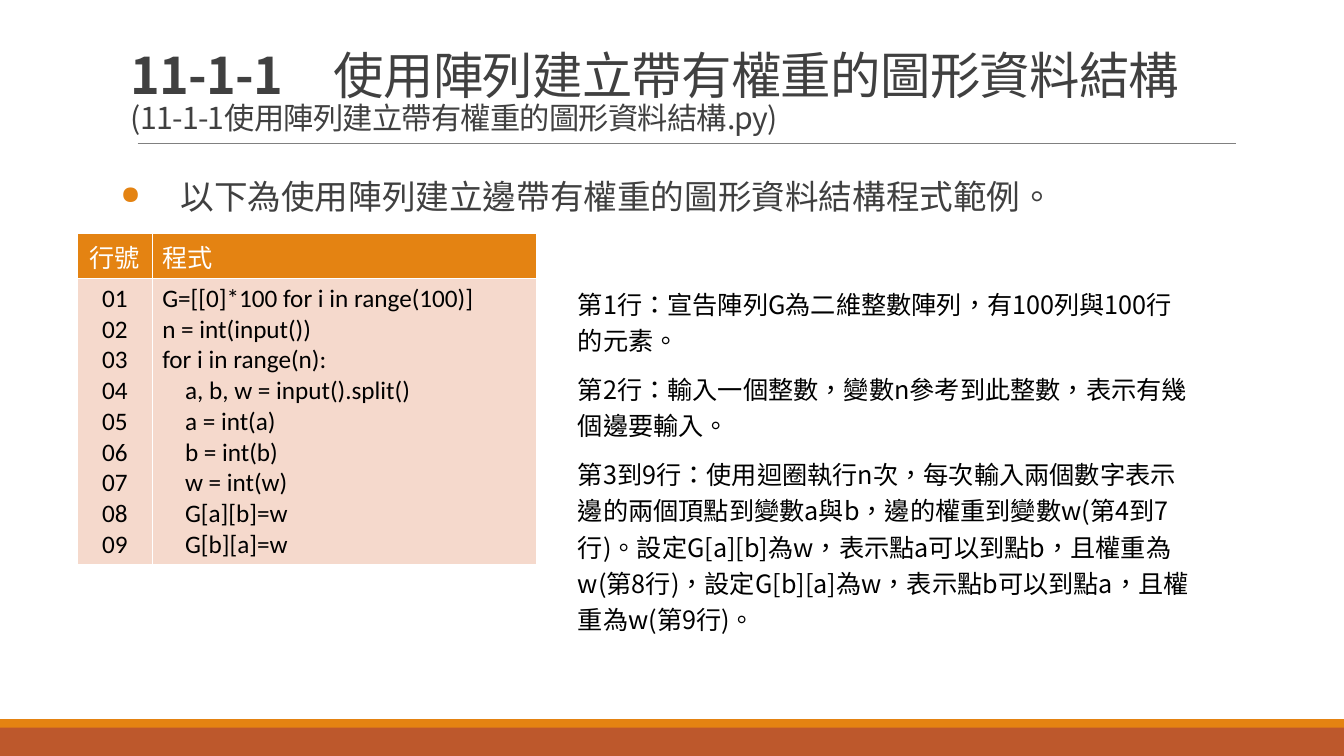
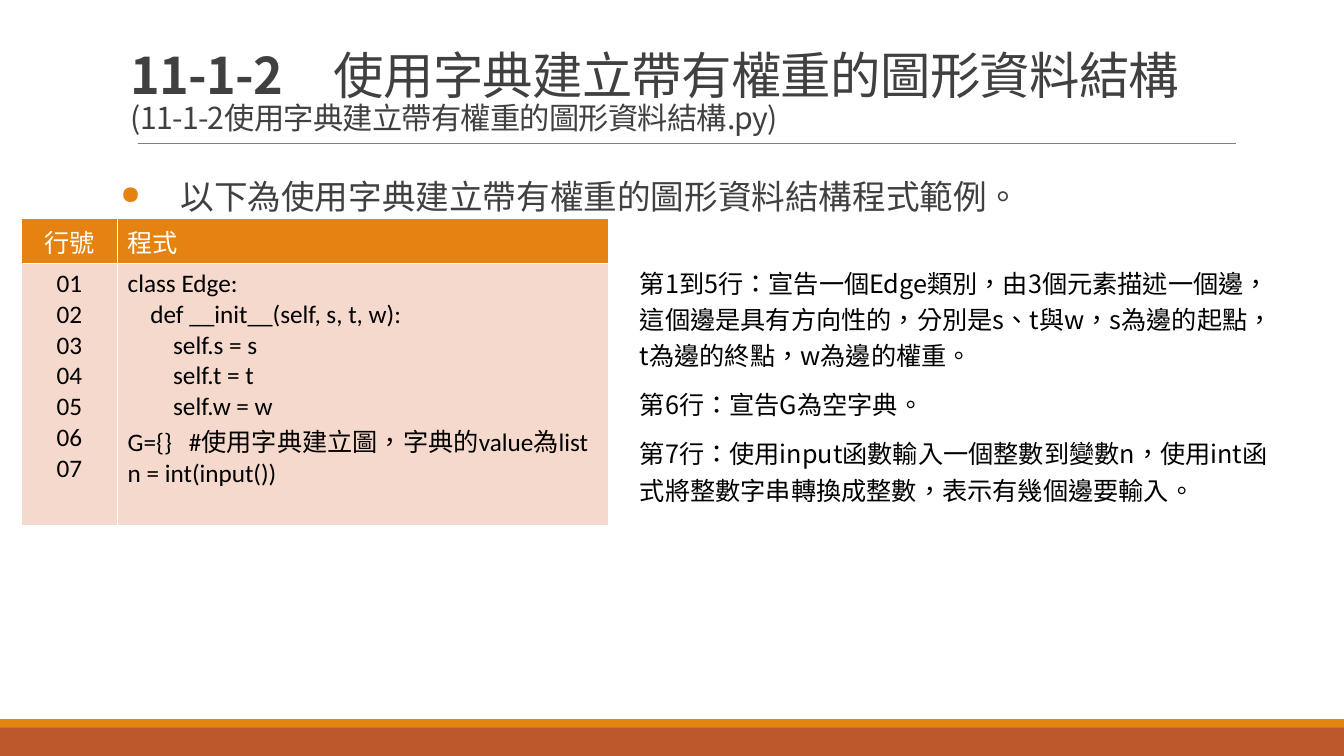
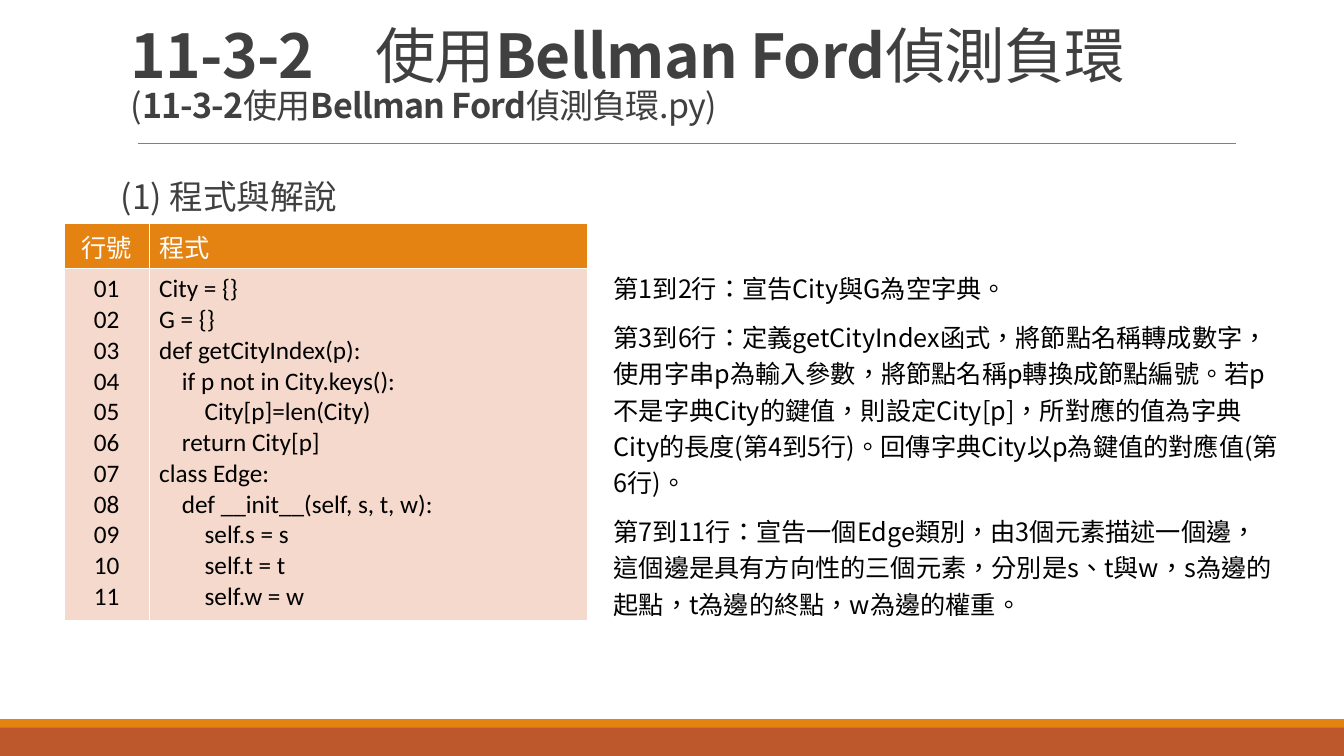
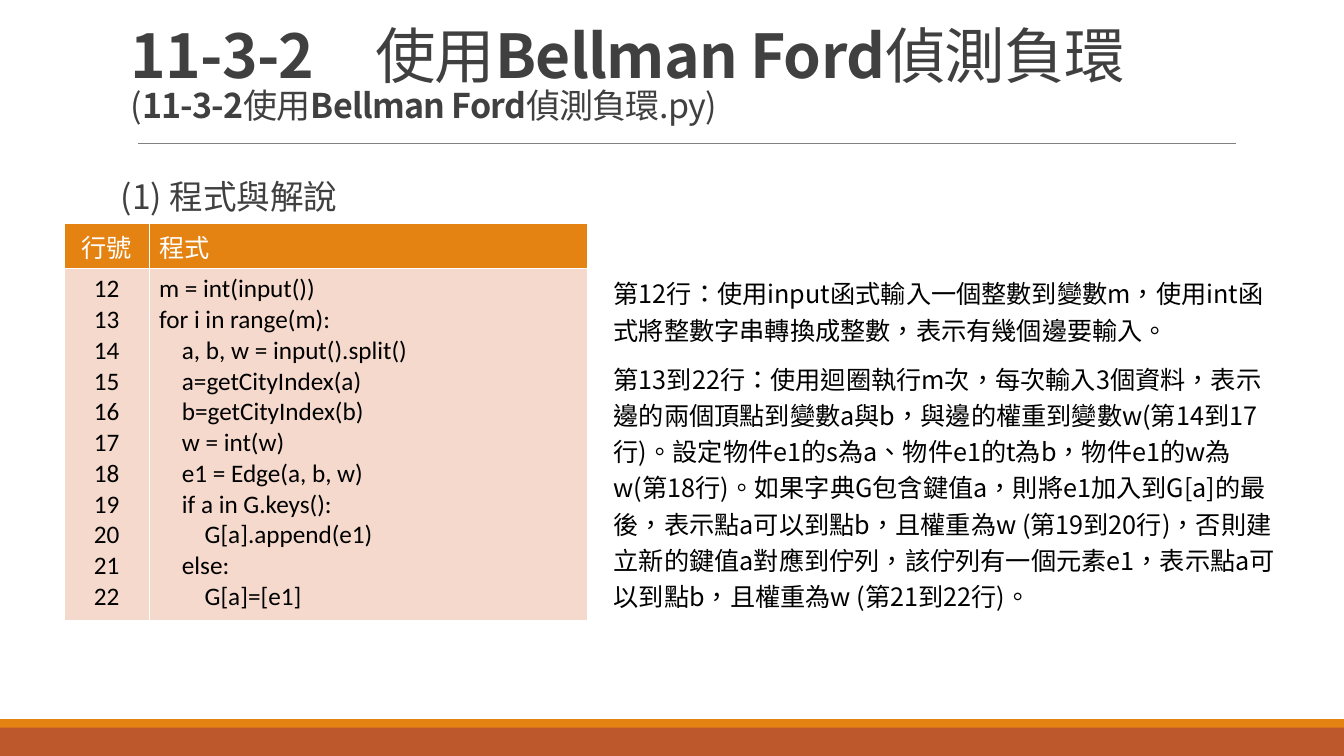
from lxml.etree import SubElement
from pptx import Presentation
from pptx.dml.color import RGBColor
from pptx.enum.shapes import MSO_CONNECTOR, MSO_SHAPE
from pptx.enum.text import MSO_ANCHOR, PP_ALIGN
from pptx.oxml.ns import qn
from pptx.util import Emu, Pt

WIDE, HIGH = 1280, 720
HEAD = 43
SANS, CODE = "Noto Sans CJK SC", "Calibri"
ORANGE, RUST, PEACH = "E48312", "BD582C", "F5D9CC"
WHITE, BLACK, DARK, GREY = "FFFFFF", "000000", "404040", "808080"


def px(count):
    """Turn px into EMU."""
    return Emu(count * 9525)


def box(*sizes):
    """Turn several px lengths into EMU."""
    return [px(size) for size in sizes]


def color(code):
    """Turn a hex string into a colour."""
    return RGBColor.from_string(code)


def style(par, size, code, face=SANS):
    """Set the font and language of a paragraph."""
    par.font.name, par.font.size = face, Pt(size)
    par.font.color.rgb = color(code)
    for run in par.runs:
        run._r.get_or_add_rPr().set("lang", "zh-TW")


def band(slide, top, height, code):
    """Draw a full-width footer band."""
    rect = slide.shapes.add_shape(MSO_SHAPE.RECTANGLE, *box(0, top, WIDE, height))
    rect.shadow.inherit = False
    rect.fill.solid()
    rect.fill.fore_color.rgb = color(code)
    rect.line.fill.background()


def rule(slide):
    """Draw the thin line under the title."""
    line = slide.shapes.add_connector(MSO_CONNECTOR.STRAIGHT, *box(131, 137, 1177, 137))
    line.line.color.rgb = color(GREY)
    line.line.width = Pt(0.5)
    SubElement(line._element.spPr, qn("a:effectLst"))


def frame(slide, *area):
    """Add a wrapping text box and give its text frame."""
    text = slide.shapes.add_textbox(*box(*area)).text_frame
    text.word_wrap = True
    return text


def title(slide, head, sub, area, big, small):
    """Write a two-line title whose bold parts stand between stars."""
    text = frame(slide, *area)
    text.vertical_anchor = MSO_ANCHOR.BOTTOM
    par = text.paragraphs[0]
    par.line_spacing = 0.85
    for line, size in ((head, big), (sub, small)):
        if line is sub:
            par.add_line_break()
        for spot, part in enumerate(line.split("*")):
            if part:
                run = par.add_run()
                run.text = part
                run.font.size, run.font.bold = Pt(size), spot % 2 == 1
                run._r.get_or_add_rPr().set("spc", "-50")
    style(par, big, DARK)


def bullet(par):
    """Give a paragraph a hanging orange dot."""
    props = par._p.get_or_add_pPr()
    props.set("marL", str(px(57)))
    props.set("indent", str(px(-57)))
    tint = SubElement(props, qn("a:buClr"))
    SubElement(tint, qn("a:srgbClr")).set("val", ORANGE)
    SubElement(props, qn("a:buSzPct")).set("val", "75000")
    SubElement(props, qn("a:buChar")).set("char", "●")


def lead(slide, words, dot):
    """Write the opening line of the body."""
    text = frame(slide, 115, 144, 1056, 517)
    text.margin_left = text.margin_right = 0
    par = text.paragraphs[0]
    par.text = words
    par.line_spacing, par.space_after = 1.5, Pt(6)
    if dot:
        bullet(par)
    style(par, 24, DARK)


def border(cell):
    """Draw thin white cell borders."""
    props = cell._tc.get_or_add_tcPr()
    for side in "LRTB":
        line = SubElement(props, qn("a:ln" + side))
        line.set("w", str(Pt(1)))
        fill = SubElement(line, qn("a:solidFill"))
        SubElement(fill, qn("a:srgbClr")).set("val", WHITE)


def listing(slide, spot, cols, height, first, code):
    """Build the table of line numbers and code."""
    lines = code.strip("\n").split("\n")
    count = "\n".join(f"{first + step:02}" for step in range(len(lines)))
    area = box(*spot, sum(cols), height)
    table = slide.shapes.add_table(2, 2, *area).table
    for col, width in zip(table.columns, cols):
        col.width = px(width)
    for row, size in zip(table.rows, (HEAD, height - HEAD)):
        row.height = px(size)
    rows = (("行號", "程式"), (count, "\n".join(lines)))
    looks = ((ORANGE, WHITE), (PEACH, BLACK))
    for row, (words, (back, ink)) in enumerate(zip(rows, looks)):
        for col, text in enumerate(words):
            cell = table.cell(row, col)
            border(cell)
            cell.fill.solid()
            cell.fill.fore_color.rgb = color(back)
            cell.text = text
            for par in cell.text_frame.paragraphs:
                par.alignment = PP_ALIGN.LEFT if col else PP_ALIGN.CENTER
                style(par, 18, ink, CODE)


def notes(slide, area, *items):
    """Write the paragraphs that explain the code."""
    text = frame(slide, *area)
    text.text = "\n".join(items)
    for step, par in enumerate(text.paragraphs):
        par.line_spacing = 1.2
        par.space_before, par.space_after = Pt(6 if step else 0), Pt(3)
        style(par, 18, BLACK)


def base(deck):
    """Add a slide with the shared bands and rule."""
    slide = deck.slides.add_slide(deck.slide_layouts[6])
    band(slide, 692, 28, RUST)
    band(slide, 685, 8, ORANGE)
    rule(slide)
    return slide


def graph(deck, part, topic, words):
    """Start a slide on building a weighted graph."""
    slide = base(deck)
    title(slide, f"*{part}　*{topic}", f"({part}{topic}.py)", (115, 30, 1056, 104), 36, 21.6)
    lead(slide, words, True)
    return slide


def ford(deck, first, code):
    """Start a slide on finding negative cycles."""
    slide = base(deck)
    topic = "使用*Bellman Ford*偵測負環"
    title(slide, f"*11-3-2　*{topic}", f"(*11-3-2*{topic}.py)", (115, 20, 1095, 104), 43.2, 24.3)
    lead(slide, "(1) 程式與解說", False)
    listing(slide, (61, 213), (81, 418), 378, first, code)
    return slide


ARRAY = """
G=[[0]*100 for i in range(100)]
n = int(input())
for i in range(n):
    a, b, w = input().split()
    a = int(a)
    b = int(b)
    w = int(w)
    G[a][b]=w
    G[b][a]=w
"""

EDGE = """
class Edge:
    def __init__(self, s, t, w):
        self.s = s
        self.t = t
        self.w = w
"""

DICT = EDGE + """G={}   #使用字典建立圖，字典的value為list
n = int(input())
"""

CITY = """
City = {}
G = {}
def getCityIndex(p):
    if p not in City.keys():
        City[p]=len(City)
    return City[p]""" + EDGE

LOOP = """
m = int(input())
for i in range(m):
    a, b, w = input().split()
    a=getCityIndex(a)
    b=getCityIndex(b)
    w = int(w)
    e1 = Edge(a, b, w)
    if a in G.keys():
        G[a].append(e1)
    else:
        G[a]=[e1]
"""


def main():
    """Build and save the deck."""
    deck = Presentation()
    deck.slide_width, deck.slide_height = box(WIDE, HIGH)

    slide = graph(deck, "11-1-1", "使用陣列建立帶有權重的圖形資料結構",
                  "以下為使用陣列建立邊帶有權重的圖形資料結構程式範例。")
    listing(slide, (74, 222), (71, 366), 316, 1, ARRAY)
    notes(slide, (541, 265, 601, 345),
          "第1行：宣告陣列G為二維整數陣列，有100列與100行的元素。",
          "第2行：輸入一個整數，變數n參考到此整數，表示有幾個邊要輸入。",
          "第3到9行：使用迴圈執行n次，每次輸入兩個數字表示邊的兩個頂點到變數a與b，"
          "邊的權重到變數w(第4到7行)。設定G[a][b]為w，表示點a可以到點b，且權重為w(第8行)，"
          "設定G[b][a]為w，表示點b可以到點a，且權重為w(第9行)。")

    slide = graph(deck, "11-1-2", "使用字典建立帶有權重的圖形資料結構",
                  "以下為使用字典建立帶有權重的圖形資料結構程式範例。")
    listing(slide, (20, 208), (92, 468), 293, 1, DICT)
    notes(slide, (600, 245, 623, 243),
          "第1到5行：宣告一個Edge類別，由3個元素描述一個邊，這個邊是具有方向性的，"
          "分別是s、t與w，s為邊的起點，t為邊的終點，w為邊的權重。",
          "第6行：宣告G為空字典。",
          "第7行：使用input函數輸入一個整數到變數n，使用int函式將整數字串轉換成整數，"
          "表示有幾個邊要輸入。")

    slide = ford(deck, 1, CITY)
    notes(slide, (575, 250, 654, 345),
          "第1到2行：宣告City與G為空字典。",
          "第3到6行：定義getCityIndex函式，將節點名稱轉成數字，使用字串p為輸入參數，"
          "將節點名稱p轉換成節點編號。若p不是字典City的鍵值，則設定City[p]，"
          "所對應的值為字典City的長度(第4到5行)。回傳字典City以p為鍵值的對應值(第6行)。",
          "第7到11行：宣告一個Edge類別，由3個元素描述一個邊，這個邊是具有方向性的三個元素，"
          "分別是s、t與w，s為邊的起點，t為邊的終點，w為邊的權重。")

    slide = ford(deck, 12, LOOP)
    notes(slide, (575, 255, 652, 380),
          "第12行：使用input函式輸入一個整數到變數m，使用int函式將整數字串轉換成整數，"
          "表示有幾個邊要輸入。",
          "第13到22行：使用迴圈執行m次，每次輸入3個資料，表示邊的兩個頂點到變數a與b，"
          "與邊的權重到變數w(第14到17行)。設定物件e1的s為a、物件e1的t為b，"
          "物件e1的w為w(第18行)。如果字典G包含鍵值a，則將e1加入到G[a]的最後，"
          "表示點a可以到點b，且權重為w (第19到20行)，否則建立新的鍵值a對應到佇列，"
          "該佇列有一個元素e1，表示點a可以到點b，且權重為w (第21到22行)。")

    deck.save("out.pptx")


if __name__ == "__main__":
    main()
